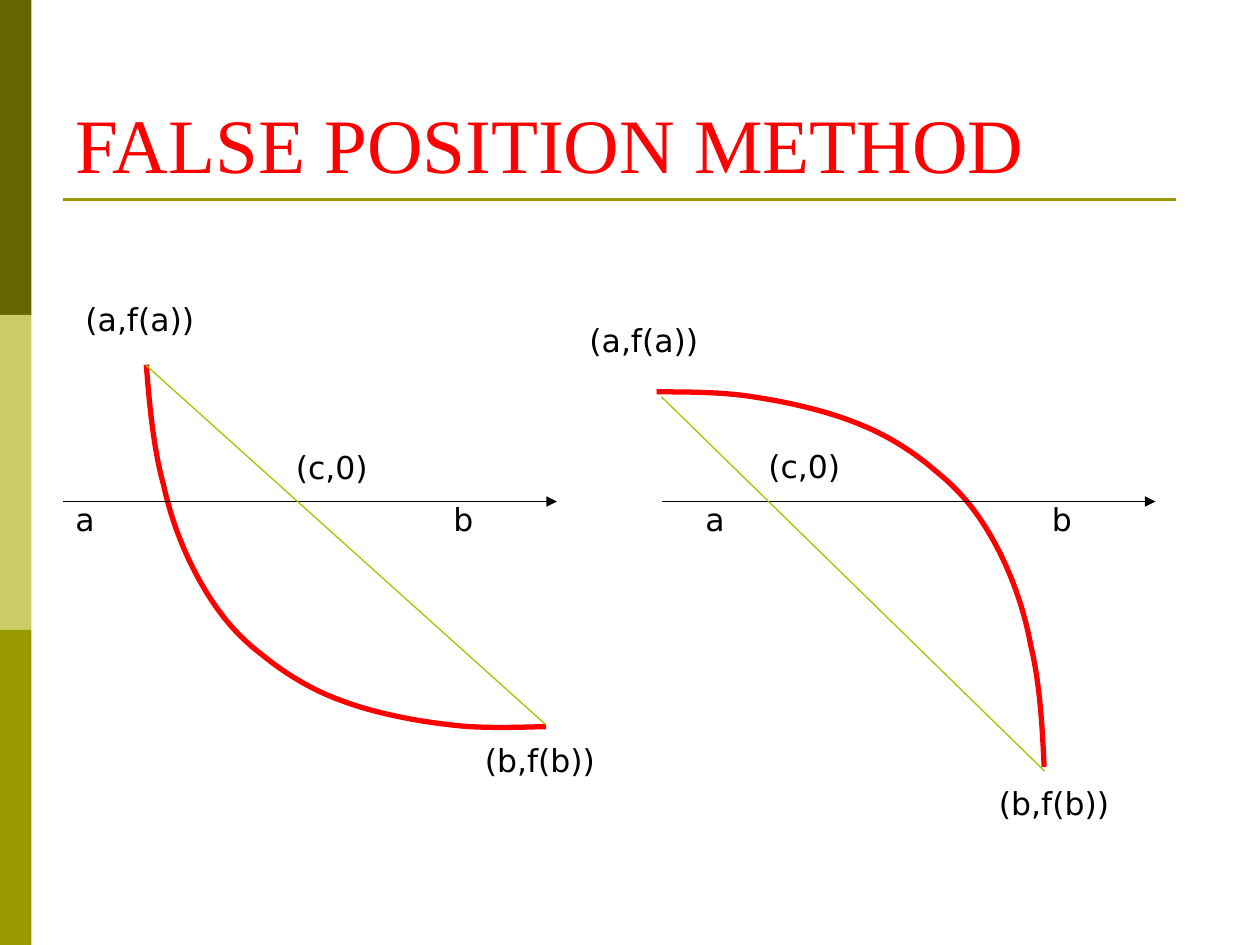
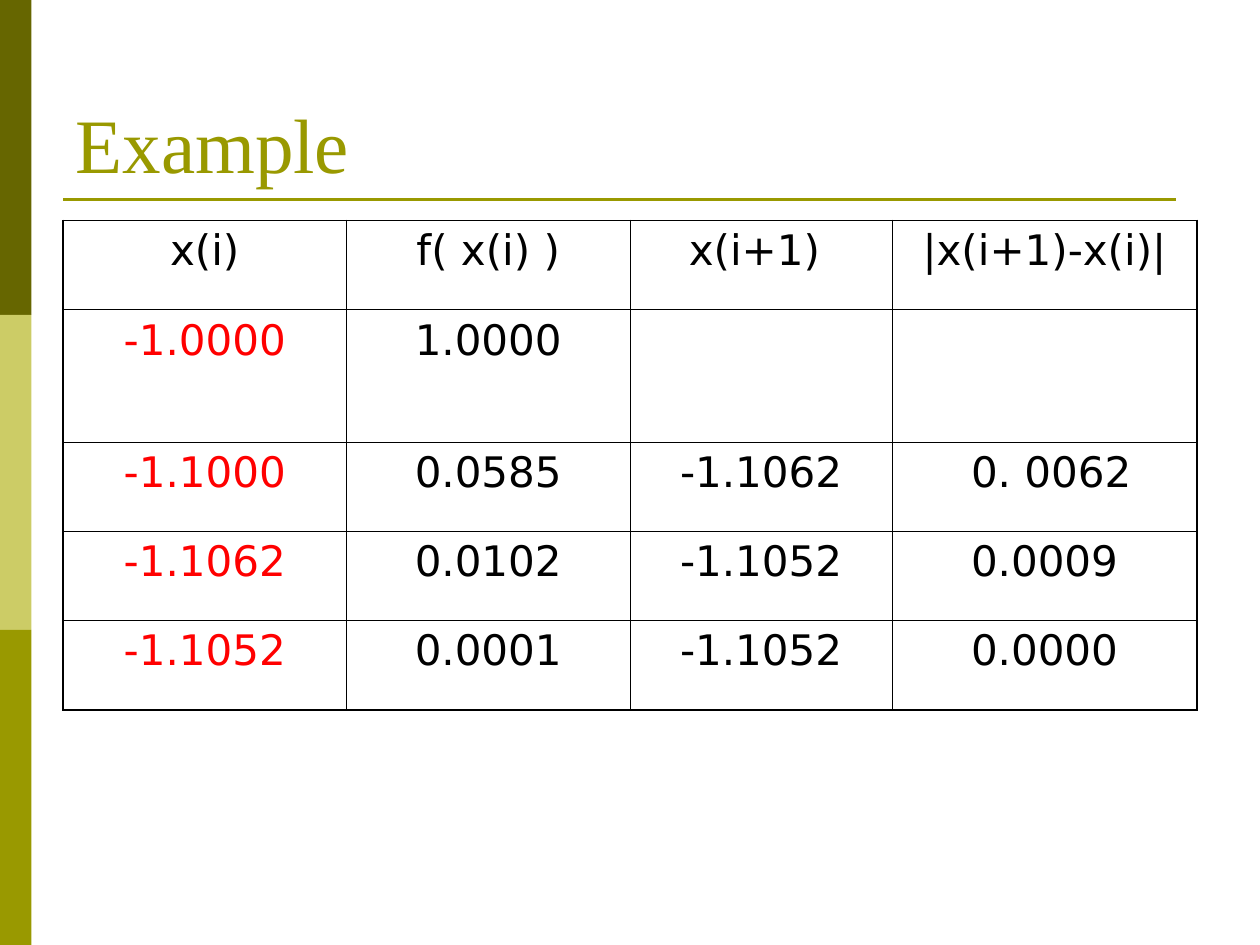
import lxml.etree
import pptx
import pptx.dml.color
import pptx.enum.shapes
import pptx.enum.text
import pptx.oxml.ns
import pptx.util

RED = pptx.dml.color.RGBColor(0xFF, 0x00, 0x00)
BLACK = pptx.dml.color.RGBColor(0x00, 0x00, 0x00)
OLIVE = pptx.dml.color.RGBColor(0x99, 0x99, 0x00)
DARK_OLIVE = pptx.dml.color.RGBColor(0x66, 0x66, 0x00)
PALE_OLIVE = pptx.dml.color.RGBColor(0xCC, 0xCC, 0x66)
CHORD_GREEN = pptx.dml.color.RGBColor(0x98, 0xCC, 0x00)
TITLE_FONT = "Times New Roman"
BODY_FONT = "DejaVu Sans"

presentation = pptx.Presentation()
presentation.slide_width = pptx.util.Inches(10)
presentation.slide_height = pptx.util.Inches(7.5)
CELL = presentation.slide_width // 10  # the slide is 10 columns by 7.5 rows


def grid(*lengths):
    return [round(length * CELL) for length in lengths]


def add_line(slide, start, end, color, width, arrow=False):
    line = slide.shapes.add_connector(
        pptx.enum.shapes.MSO_CONNECTOR.STRAIGHT, *grid(*start, *end))
    line.line.color.rgb = color
    line.line.width = pptx.util.Pt(width)
    if arrow:
        outline = line.line._get_or_add_ln()
        lxml.etree.SubElement(outline, pptx.oxml.ns.qn("a:tailEnd"), type="triangle")
    lxml.etree.SubElement(line.element.spPr, pptx.oxml.ns.qn("a:effectLst"))
    return line


# Slides and their titles
layout = presentation.slide_layouts[5]
layout_title = layout.placeholders[0]
layout_title.left, layout_title.top, layout_title.width, layout_title.height = grid(
    0.5, 0.3, 9, 1.25)
slides = []
for title_text, title_color in [("FALSE POSITION METHOD", RED), ("Example", OLIVE)]:
    slide = presentation.slides.add_slide(layout)
    title_frame = slide.shapes.title.text_frame
    title_frame.text = title_text
    title_frame.vertical_anchor = pptx.enum.text.MSO_ANCHOR.BOTTOM
    paragraph = title_frame.paragraphs[0]
    paragraph.alignment = pptx.enum.text.PP_ALIGN.LEFT
    font = paragraph.runs[0].font
    font.name, font.size = TITLE_FONT, pptx.util.Pt(44)
    font.color.rgb = title_color
    slides.append(slide)
graph_slide, table_slide = slides

# Side bands and title rule, moved to the shared layout
RULE_ROW = 19 / 12
decorations = []
for band, band_color in enumerate([DARK_OLIVE, PALE_OLIVE, OLIVE]):
    shape = graph_slide.shapes.add_shape(
        pptx.enum.shapes.MSO_SHAPE.RECTANGLE, *grid(0, 2.5 * band, 0.25, 2.5))
    shape.shadow.inherit = False
    shape.fill.solid()
    shape.fill.fore_color.rgb = band_color
    shape.line.fill.background()
    decorations.append(shape)
decorations.append(add_line(graph_slide, (0.5, RULE_ROW), (9.33, RULE_ROW), OLIVE, 1.5))
for number, shape in enumerate(decorations, start=101):
    shape.element.xpath(".//p:cNvPr")[0].set("id", str(number))
    layout.shapes.element.append(shape.element)

# Both graphs turn the same arc: its start, then three points per cubic segment
ARC = [
    (0, 0), (0.23, 0.22), (0.49, 0.46), (0.74, 0.62),
    (0.99, 0.8), (1.26, 0.93), (1.51, 1.01),
    (1.76, 1.09), (1.98, 1.12), (2.22, 1.1),
    (2.47, 1.09), (2.72, 1.04), (2.96, 0.94),
    (3.21, 0.84), (3.49, 0.67), (3.7, 0.52),
    (3.92, 0.37), (4.16, 0.13), (4.28, 0.02),
]
AXIS_ROW = 3.98
AXIS_LENGTH = 3.92
# Arc corner, arc rotation, start of the x axis, ends of the chord
graphs = [
    ((0.24, 4.18), 41.9, 0.5, (1.16, 2.9), (4.33, 5.75)),
    ((4.99, 3.64), 223.8, 5.25, (8.29, 6.12), (5.25, 3.15)),
]
for (left, top), rotation, axis_start, chord_start, chord_end in graphs:
    points = [grid(left + x, top + y) for x, y in ARC]
    builder = graph_slide.shapes.build_freeform(*points[0])
    builder.add_line_segments(points[1:], close=False)
    shape = builder.convert_to_shape()
    segments = shape.element.xpath(".//a:lnTo")
    for first in range(0, len(segments), 3):
        cubic = lxml.etree.Element(pptx.oxml.ns.qn("a:cubicBezTo"))
        segments[first].addprevious(cubic)
        for segment in segments[first:first + 3]:
            cubic.append(segment[0])
            segment.getparent().remove(segment)
    shape.rotation = rotation
    shape.shadow.inherit = False
    shape.fill.background()
    shape.line.color.rgb = RED
    shape.line.width = pptx.util.Pt(3)
    add_line(graph_slide, (axis_start, AXIS_ROW), (axis_start + AXIS_LENGTH, AXIS_ROW),
             BLACK, 0.75, arrow=True)
    add_line(graph_slide, chord_start, chord_end, CHORD_GREEN, 0.75)

# Graph labels
POINT_WIDTH, AXIS_WIDTH = 1.58, 0.5
labels = [
    ("(b,f(b))", 3.75, 5.83, POINT_WIDTH), ("(b,f(b))", 7.83, 6.17, POINT_WIDTH),
    ("(a,f(a))", 0.58, 2.33, POINT_WIDTH), ("(a,f(a))", 4.58, 2.5, POINT_WIDTH),
    ("(c,0)", 2.25, 3.51, POINT_WIDTH), ("(c,0)", 6, 3.5, POINT_WIDTH),
    ("a", 0.5, 3.92, AXIS_WIDTH), ("a", 5.5, 3.92, AXIS_WIDTH),
    ("b", 3.5, 3.92, AXIS_WIDTH), ("b", 8.25, 3.92, AXIS_WIDTH),
]
for text, left, top, width in labels:
    text_frame = graph_slide.shapes.add_textbox(*grid(left, top, width, 0.4)).text_frame
    text_frame.word_wrap = True
    text_frame.text = text
    font = text_frame.paragraphs[0].runs[0].font
    font.name, font.size = BODY_FONT, pptx.util.Pt(18)
    font.color.rgb = BLACK

# Iteration table
rows = [
    ["x(i)", "f( x(i) )", "x(i+1) ", "|x(i+1)-x(i)|"],
    ["-1.0000", "1.0000", "", ""],
    ["-1.1000", "0.0585", "-1.1062", " 0. 0062"],
    ["-1.1062", "0.0102", "-1.1052", "0.0009"],
    ["-1.1052", "0.0001", "-1.1052", "0.0000"],
]
ROW_HEIGHT = 17 / 24
column_widths = grid(2.25, 2.25, 2.08, 2.42)
row_heights = grid(ROW_HEIGHT, 1.05, ROW_HEIGHT, ROW_HEIGHT, ROW_HEIGHT)
table = table_slide.shapes.add_table(
    len(rows), len(column_widths), *grid(0.5, 1.75),
    sum(column_widths), sum(row_heights)).table
table.first_row = table.horz_banding = False
for column, width in zip(table.columns, column_widths):
    column.width = width
for row, height in zip(table.rows, row_heights):
    row.height = height

INNER_BORDER, OUTER_BORDER = 0.45, 1.08
for row_index, row in enumerate(rows):
    for column_index, text in enumerate(row):
        cell = table.cell(row_index, column_index)
        properties = cell._tc.get_or_add_tcPr()
        on_edge = {"a:lnL": column_index == 0, "a:lnR": column_index == len(row) - 1,
                   "a:lnT": row_index == 0, "a:lnB": row_index == len(rows) - 1}
        for side, outer in on_edge.items():
            border_width = pptx.util.Pt(OUTER_BORDER if outer else INNER_BORDER)
            border = lxml.etree.SubElement(
                properties, pptx.oxml.ns.qn(side), w=str(border_width))
            border_fill = lxml.etree.SubElement(border, pptx.oxml.ns.qn("a:solidFill"))
            lxml.etree.SubElement(
                border_fill, pptx.oxml.ns.qn("a:srgbClr"), val=str(BLACK))
        cell.fill.background()
        if not text:
            continue
        cell.text_frame.text = text
        paragraph = cell.text_frame.paragraphs[0]
        paragraph.alignment = pptx.enum.text.PP_ALIGN.CENTER
        font = paragraph.runs[0].font
        font.name, font.size = BODY_FONT, pptx.util.Pt(24)
        font.color.rgb = RED if column_index == 0 and row_index > 0 else BLACK

presentation.save("out.pptx")
